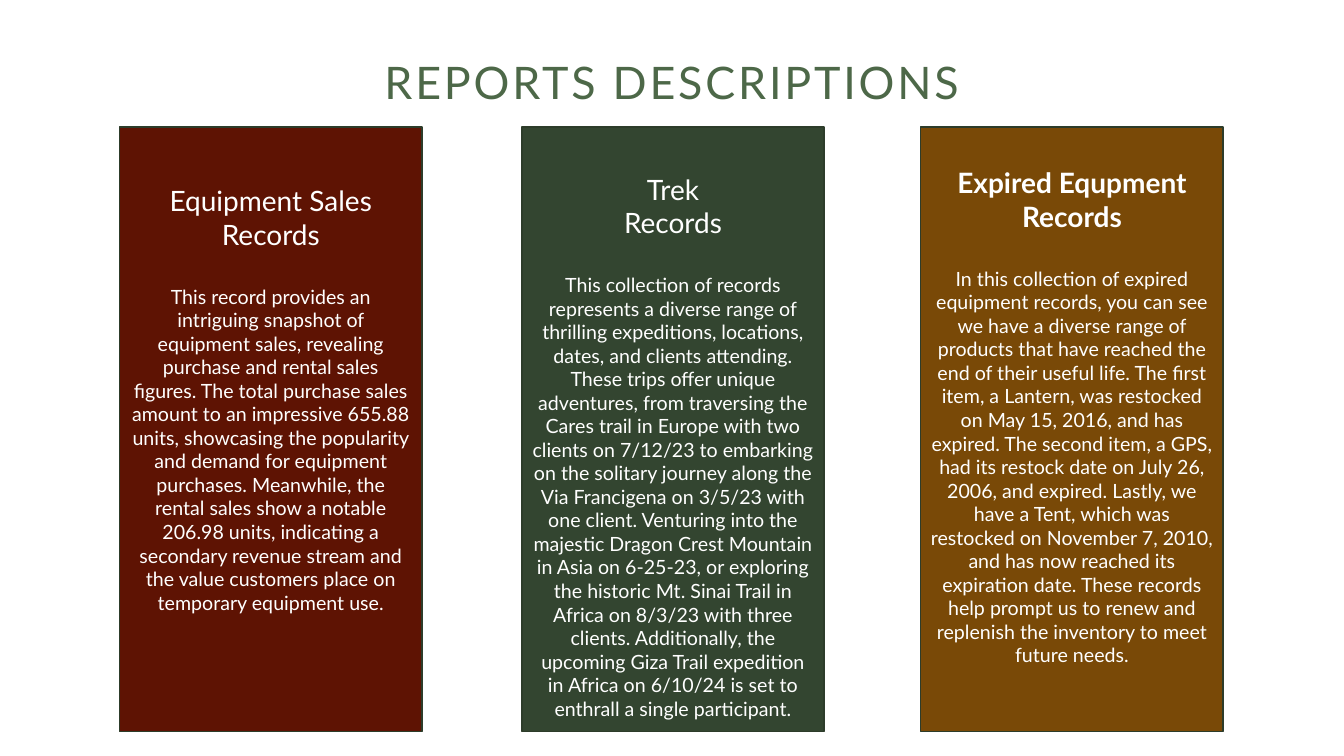
from pptx import Presentation
from pptx import util as u
from pptx.dml.color import RGBColor
from pptx.enum import shapes, text

EMU_PER_PX = 9525
TITLE_ONLY = 5

PANEL_TOP, PANEL_WIDTH, PANEL_HEIGHT = 121, 288, 576

# left edge, fill, space above the heading, heading is bold, heading lines, body
PANELS = [
    (114, "5E1303", 54, False, ["Equipment Sales", "Records"],
     "This record provides an intriguing snapshot of equipment sales, revealing "
     "purchase and rental sales figures. The total purchase sales amount to an "
     "impressive 655.88 units, showcasing the popularity and demand for equipment "
     "purchases. Meanwhile, the rental sales show a notable 206.98 units, "
     "indicating a secondary revenue stream and the value customers place on "
     "temporary equipment use."),
    (497, "334530", 43, False, ["Trek", "Records"],
     "This collection of records represents a diverse range of thrilling "
     "expeditions, locations, dates, and clients attending. These trips offer "
     "unique adventures, from traversing the Cares trail in Europe with two "
     "clients on 7/12/23 to embarking on the solitary journey along the Via "
     "Francigena on 3/5/23 with one client. Venturing into the majestic Dragon "
     "Crest Mountain in Asia on 6-25-23, or exploring the historic Mt. Sinai "
     "Trail in Africa on 8/3/23 with three clients. Additionally, the upcoming "
     "Giza Trail expedition in Africa on 6/10/24 is set to enthrall a single "
     "participant."),
    (877, "794907", 37, True, ["Expired Equpment Records"],
     "In this collection of expired equipment records, you can see we have a "
     "diverse range of products that have reached the end of their useful life. "
     "The first item, a Lantern, was restocked on May 15, 2016, and has expired. "
     "The second item, a GPS, had its restock date on July 26, 2006, and expired. "
     "Lastly, we have a Tent, which was restocked on November 7, 2010, and has now "
     "reached its expiration date. These records help prompt us to renew and "
     "replenish the inventory to meet future needs."),
]


def px(length):
    return u.Emu(length * EMU_PER_PX)


def color(hex_string):
    return RGBColor.from_string(hex_string)


def write(paragraph, words, size, ink, bold=False, before=0, line=1.0, tracking=0):
    """Fill a centred paragraph; before and tracking are in points."""
    paragraph.alignment = text.PP_ALIGN.CENTER
    paragraph.space_before = u.Pt(before)
    paragraph.space_after = u.Pt(0)
    paragraph.line_spacing = line
    span = paragraph.add_run()
    span.text = words
    span.font.name = ReportPage.font
    span.font.size = u.Pt(size)
    span.font.bold = bold
    span.font.color.rgb = color(ink)
    if tracking:
        span._r.get_or_add_rPr().set("spc", str(tracking * 100))


class ReportPage:
    font = "Lato"
    title_ink = "4D6848"
    panel_ink = "FFFFFF"
    outline = "2D3C2A"

    def __init__(self, deck):
        self.page = deck.slides.add_slide(deck.slide_layouts[TITLE_ONLY])

    def title(self, words, left, top, width, height):
        box = self.page.shapes.title
        box.left, box.top, box.width, box.height = map(px, (left, top, width, height))
        frame = box.text_frame
        frame.auto_size = text.MSO_AUTO_SIZE.NONE
        frame.vertical_anchor = text.MSO_ANCHOR.TOP
        write(frame.paragraphs[0], words, 32, self.title_ink, line=0.9, tracking=2)

    def panel(self, left, fill, inset, bold, heading, body):
        box = self.page.shapes.add_shape(
            shapes.MSO_SHAPE.RECTANGLE,
            *map(px, (left, PANEL_TOP, PANEL_WIDTH, PANEL_HEIGHT)))
        box.shadow.inherit = False
        box.fill.solid()
        box.fill.fore_color.rgb = color(fill)
        box.line.color.rgb = color(self.outline)
        box.line.width = u.Pt(1)
        frame = box.text_frame
        frame.word_wrap = True
        frame.vertical_anchor = text.MSO_ANCHOR.TOP
        frame.margin_top = px(inset)
        frame.margin_bottom = 0
        for index, words in enumerate(heading):
            paragraph = frame.add_paragraph() if index else frame.paragraphs[0]
            write(paragraph, words, 20, self.panel_ink, bold=bold)
        write(frame.add_paragraph(), body, 14, self.panel_ink, before=24)


def main():
    deck = Presentation()
    deck.slide_width, deck.slide_height = px(1280), px(720)
    report = ReportPage(deck)
    report.title("REPORTS DESCRIPTIONS", 88, 53, 1104, 60)
    for panel in PANELS:
        report.panel(*panel)
    deck.save("out.pptx")


if __name__ == "__main__":
    main()
